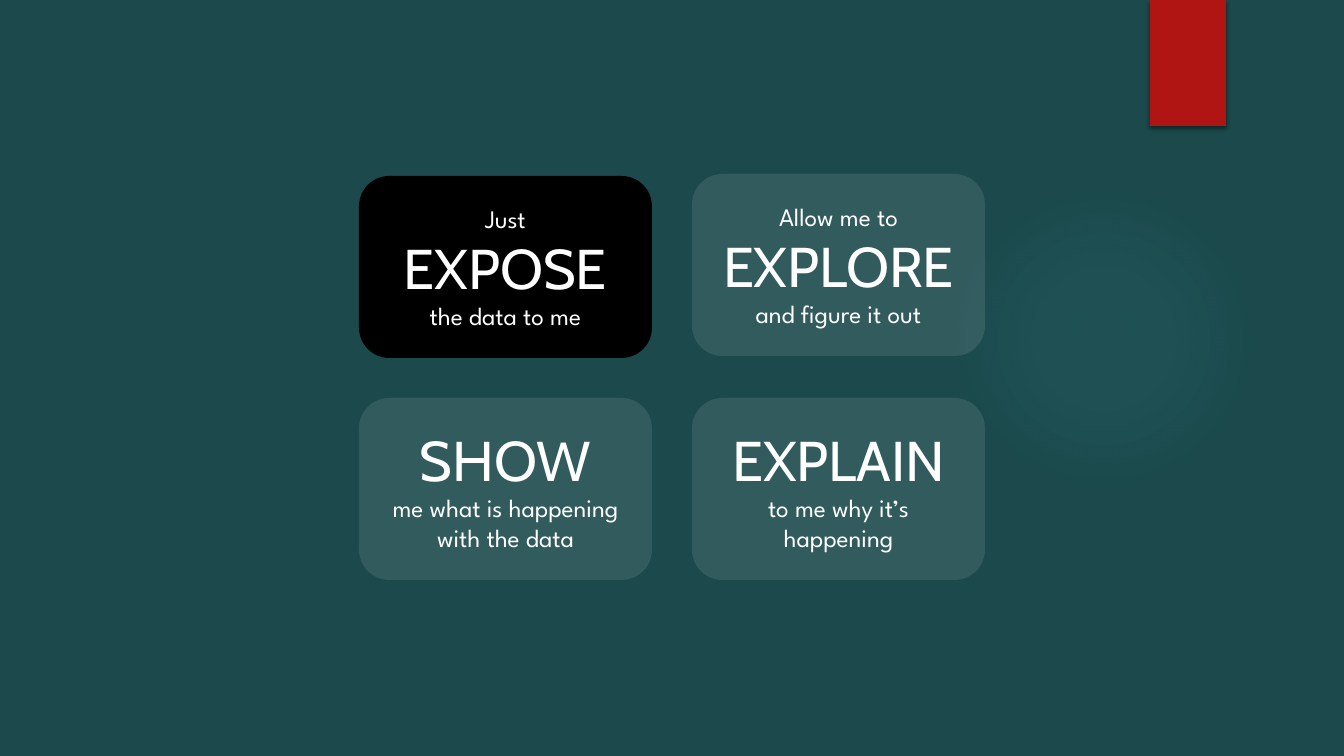
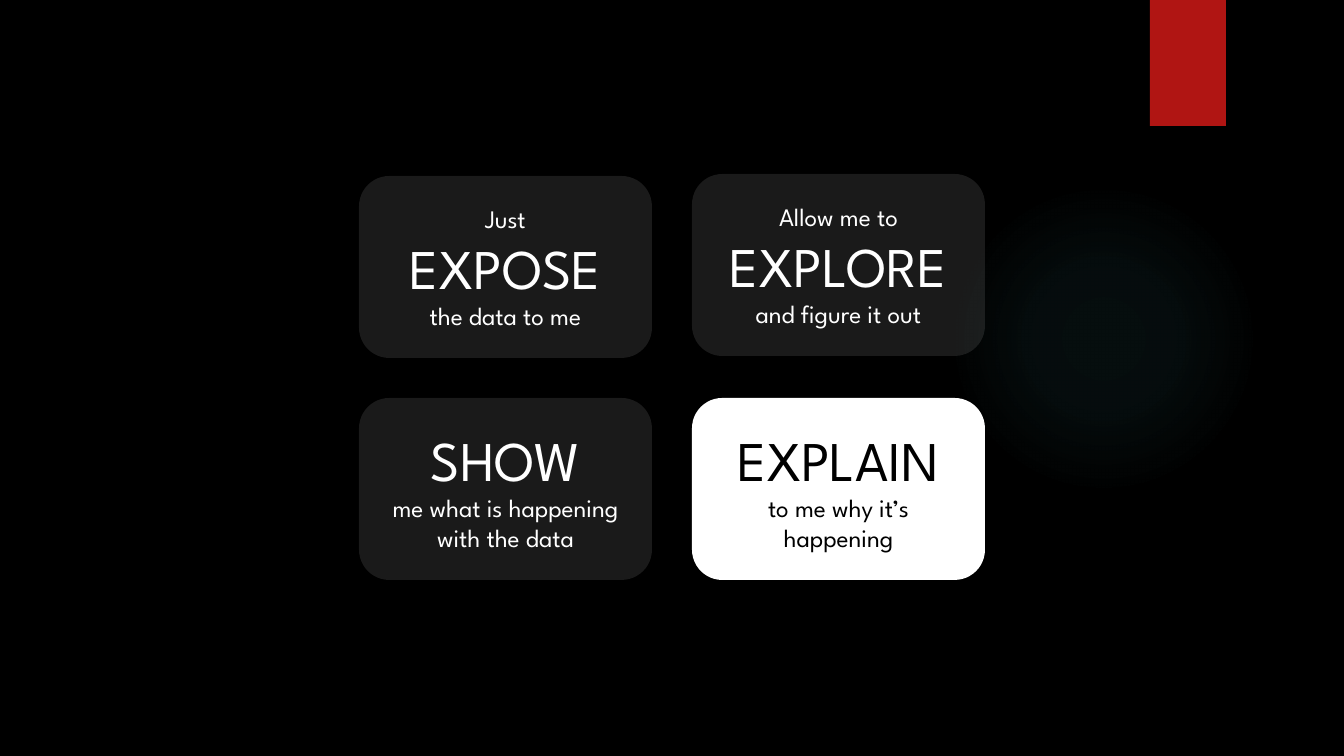
from pptx import Presentation
from pptx import util as u
from pptx.dml.color import RGBColor
from pptx.enum import shapes, text
from pptx.oxml import parse_xml
from pptx.oxml.ns import nsdecls

EMU_PER_PX = 12192000 / 1344
WHITE, BLACK, RED, GLOW = "FFFFFF", "000000", "B01513", "50B9C1"
TEAL = "1B494C"
BODY_FONT = "League Spartan"
CARD_WIDTH, CARD_HEIGHT = 293, 182
CARD_LEFT, CARD_PITCH = 359, 333
LOWER_TOP = 398


def rgb(hex_code):
    return RGBColor.from_string(hex_code)


def add_panel(slide, preset, box, fill=None, alpha=100):
    """Add an unlined, unshadowed shape; box is left, top, width, height in px."""
    panel = slide.shapes.add_shape(preset, *(u.Emu(round(v * EMU_PER_PX)) for v in box))
    panel.shadow.inherit = False
    panel.line.fill.background()
    if fill:
        panel.fill.solid()
        panel.fill.fore_color.rgb = rgb(fill)
    if alpha < 100:
        colour = panel._element.spPr.find(".//{*}solidFill/{*}srgbClr")
        colour.append(parse_xml(f'<a:alpha {nsdecls("a")} val="{alpha * 1000}"/>'))
    return panel


# column, top, lines of text; the upper-case line is the key word
cards = [
    (0, LOWER_TOP, ["SHOW", "me what is happening with the data"]),
    (1, LOWER_TOP, ["EXPLAIN", "to me why it’s happening"]),
    (1, 174, ["Allow me to", "EXPLORE", "and figure it out"]),
    (0, 176, ["Just", "EXPOSE", "the data to me"]),
]
# highlight is key word, card fill, text colour
themes = [
    {"background": TEAL, "key_font": "Cabin", "highlight": ("EXPOSE", BLACK, WHITE)},
    {"background": BLACK, "key_font": BODY_FONT, "highlight": ("EXPLAIN", WHITE, BLACK)},
]
glow_stops = "".join(
    f'<a:gs pos="{position * 1000}"><a:srgbClr val="{GLOW}">'
    f'<a:alpha val="{alpha * 1000}"/></a:srgbClr></a:gs>'
    for position, alpha in [(0, 7), (36, 6), (69, 0)]
)
glow_fill = (
    f'<a:gradFill {nsdecls("a")} rotWithShape="1"><a:gsLst>{glow_stops}</a:gsLst>'
    '<a:path path="circle"><a:fillToRect l="50000" t="50000" r="50000" b="50000"/>'
    "</a:path></a:gradFill>"
)
ribbon_shadow = (
    f'<a:outerShdw {nsdecls("a")} blurRad="{u.Pt(3)}" dist="{u.Pt(2)}" dir="5400000" '
    f'rotWithShape="0"><a:srgbClr val="{BLACK}"><a:alpha val="45000"/></a:srgbClr>'
    "</a:outerShdw>"
)

deck = Presentation()
deck.slide_width = u.Emu(round(1344 * EMU_PER_PX))
deck.slide_height = u.Emu(round(756 * EMU_PER_PX))
blank_layout = deck.slide_layouts[6]

for theme in themes:
    slide = deck.slides.add_slide(blank_layout)
    slide.background.fill.solid()
    slide.background.fill.fore_color.rgb = rgb(theme["background"])

    glow = add_panel(slide, shapes.MSO_SHAPE.OVAL, (949, 184, 310, 310))
    glow._element.spPr.find("{*}prstGeom").addnext(parse_xml(glow_fill))
    ribbon = add_panel(slide, shapes.MSO_SHAPE.RECTANGLE, (1150, 0, 76, 126), RED)
    ribbon._element.spPr.find("{*}effectLst").append(parse_xml(ribbon_shadow))

    highlight, highlight_fill, highlight_ink = theme["highlight"]
    for column, top, lines in cards:
        box = (CARD_LEFT + column * CARD_PITCH, top, CARD_WIDTH, CARD_HEIGHT)
        fill, alpha, ink = WHITE, 10, WHITE
        if highlight in lines:
            fill, alpha, ink = highlight_fill, 100, highlight_ink
        card = add_panel(slide, shapes.MSO_SHAPE.ROUNDED_RECTANGLE, box, fill, alpha)
        frame = card.text_frame
        frame.word_wrap = True
        frame.vertical_anchor = text.MSO_ANCHOR.MIDDLE
        frame.text = "\n".join(lines)
        for paragraph in frame.paragraphs:
            paragraph.alignment = text.PP_ALIGN.CENTER
            font = paragraph.runs[0].font
            style = {"name": BODY_FONT, "size": u.Pt(18)}
            if paragraph.text.isupper():
                style = {"name": theme["key_font"], "size": u.Pt(40)}
            for attribute, value in style.items():
                setattr(font, attribute, value)
            font.color.rgb = rgb(ink)

deck.save("out.pptx")
